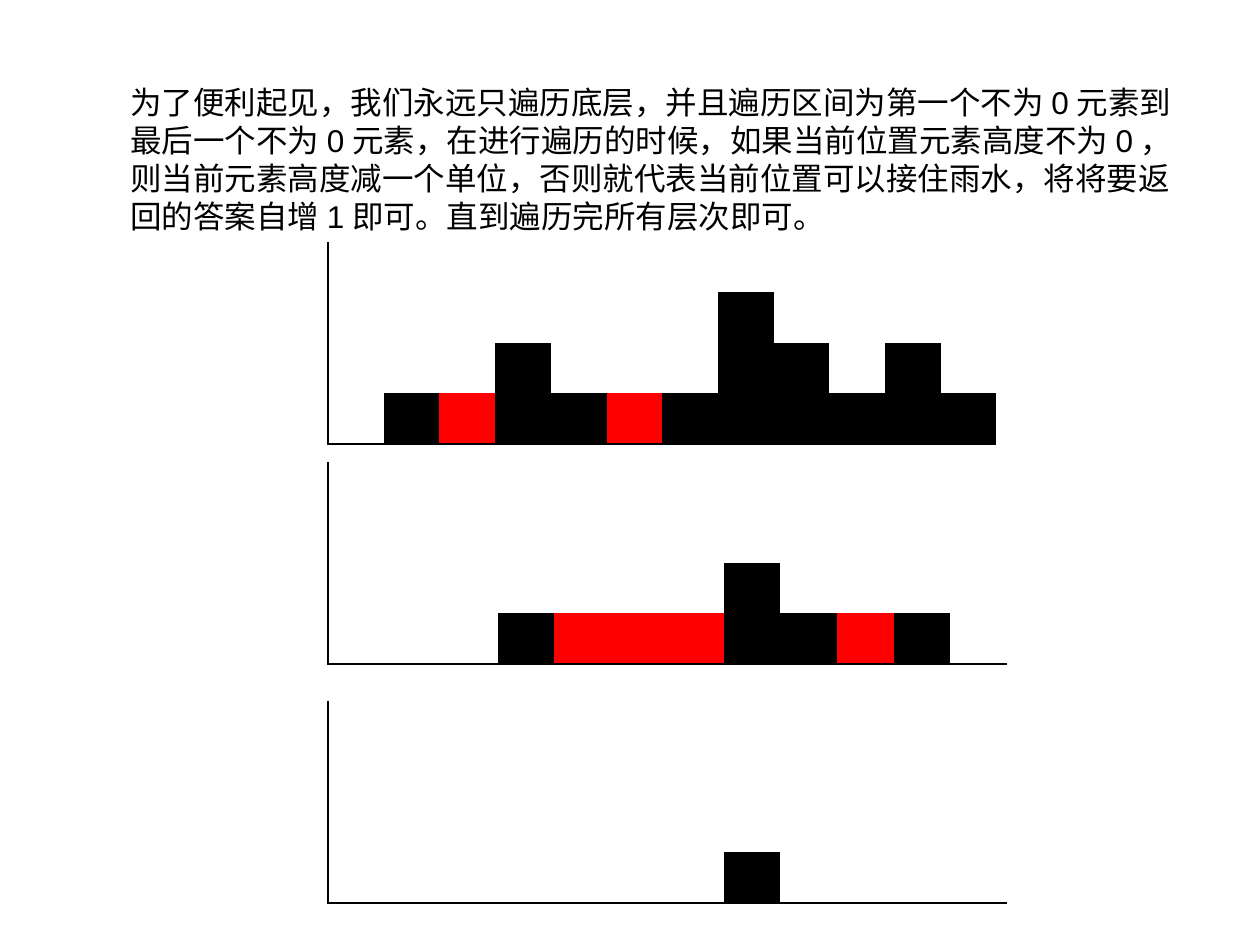
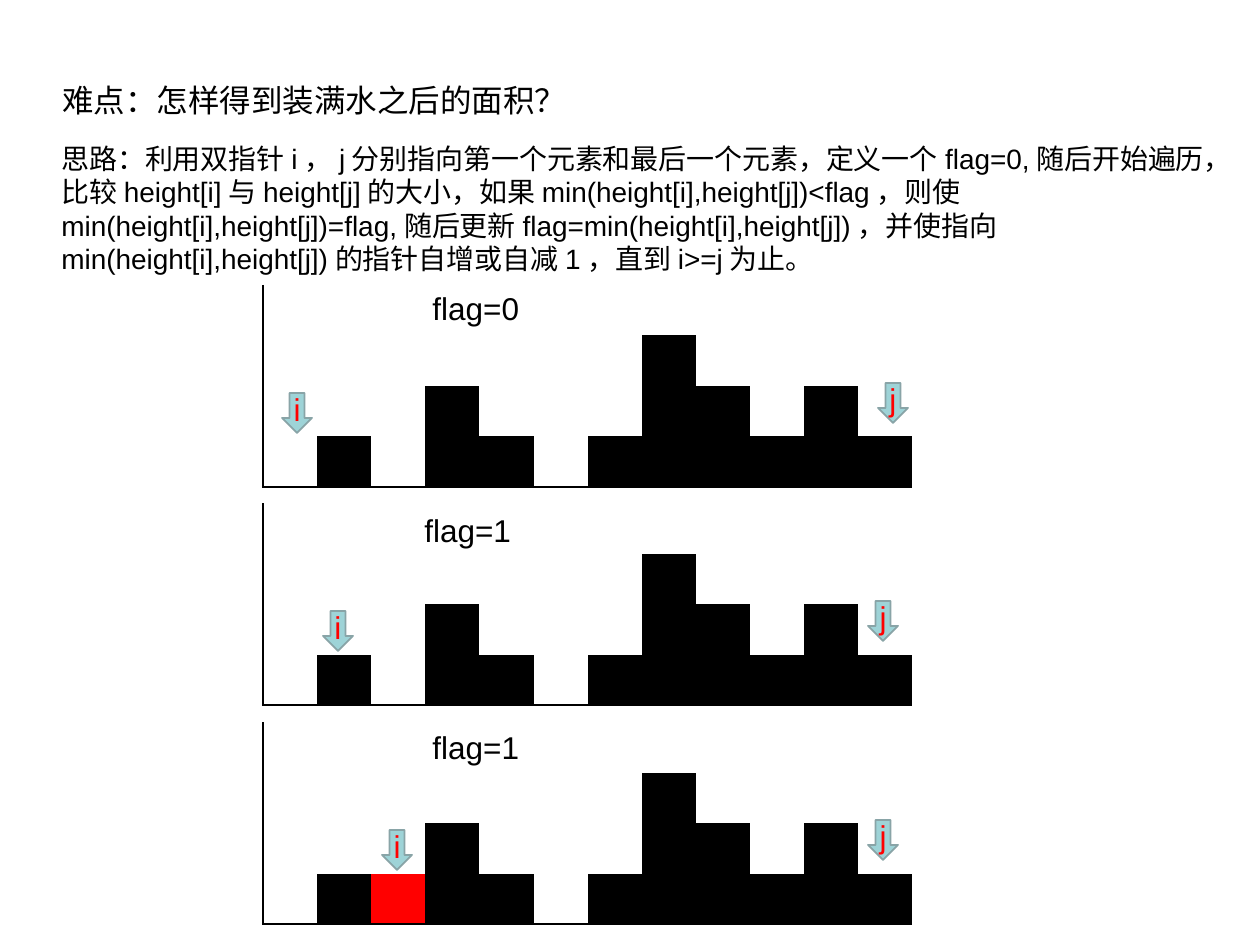
import pptx
import pptx.util
import pptx.dml.color
import pptx.enum.shapes
import pptx.enum.text
import pptx.oxml.ns
import lxml.etree

RGB = pptx.dml.color.RGBColor
BLACK = RGB(0x00, 0x00, 0x00)
WHITE = RGB(0xFF, 0xFF, 0xFF)
RED = RGB(0xFF, 0x00, 0x00)
TEAL = RGB(0x9E, 0xD3, 0xD7)
SLATE = RGB(0x89, 0xA4, 0xA7)

FONT = "Arial"
SCALE = 914400 / 126  # EMU in one px
AXIS = pptx.util.Pt(1.47)
PLAIN = "{2D5ABB26-0587-4C30-8999-92F81FD0307C}"  # table style without grid
ROWS, TALL = 4, 202
HEIGHTS = [0, 1, 0, 2, 1, 0, 1, 3, 2, 1, 2, 1]


def px(n):
    return pptx.util.Emu(round(n * SCALE))


def style(para, size, color):
    para.font.name = FONT
    para.font.size = pptx.util.Pt(size)
    para.font.color.rgb = color


def add_text(slide, box, text, size=18):
    frame = slide.shapes.add_textbox(*map(px, box)).text_frame
    frame.word_wrap = True
    frame.text = text
    style(frame.paragraphs[0], size, BLACK)


def add_edge(cell, side):
    """Draw the axis line on one side of a cell."""
    props = cell._tc.get_or_add_tcPr()
    qn = pptx.oxml.ns.qn
    line = lxml.etree.SubElement(props, qn("a:" + side), w=str(int(AXIS)))
    fill = lxml.etree.SubElement(line, qn("a:solidFill"))
    lxml.etree.SubElement(fill, qn("a:srgbClr"), val=str(BLACK))


def add_bars(slide, box, heights, water=()):
    """Grid of bars, with water in the bottom row of the given columns."""
    left, top, wide, tall = box
    count = len(heights)
    frame = slide.shapes.add_table(ROWS, count, *map(px, box))
    table = frame.table
    table.first_row = table.horz_banding = False
    next(frame.element.iter(pptx.oxml.ns.qn("a:tableStyleId"))).text = PLAIN
    for col in table.columns:
        col.width = px(wide / count)
    for r, row in enumerate(table.rows):
        row.height = px(tall / ROWS)
        level = ROWS - r
        for c, cell in enumerate(row.cells):
            cell.margin_top = cell.margin_bottom = 0
            # Axes go before the fill
            if c == 0:
                add_edge(cell, "lnL")
            if level == 1:
                add_edge(cell, "lnB")
            wet = level == 1 and c in water
            cell.fill.solid()
            cell.fill.fore_color.rgb = (
                BLACK if heights[c] >= level else RED if wet else WHITE)


def add_arrow(slide, left, top, name):
    kind = pptx.enum.shapes.MSO_SHAPE.DOWN_ARROW
    arrow = slide.shapes.add_shape(kind, *map(px, (left, top, 30, 40)))
    arrow.shadow.inherit = False
    arrow.fill.solid()
    arrow.fill.fore_color.rgb = TEAL
    arrow.line.color.rgb = SLATE
    arrow.line.width = pptx.util.Pt(1)
    arrow.text_frame.text = name
    para = arrow.text_frame.paragraphs[0]
    para.alignment = pptx.enum.text.PP_ALIGN.CENTER
    style(para, 18, RED)


def find_gaps(heights):
    """Empty columns between the first and the last bar."""
    bars = [c for c, h in enumerate(heights) if h]
    return [c for c in range(bars[0], bars[-1]) if not heights[c]]


def add_step(slide, box, flag, i_left, j_left, label, water=()):
    """One step of the two pointers; offsets count from the box corner."""
    left, top = box[:2]
    add_bars(slide, box, HEIGHTS, water)
    add_arrow(slide, left + i_left, top + 108, "i")
    add_arrow(slide, left + j_left, top + 98, "j")
    add_text(slide, (left + label[0], top + label[1], 420, 50), f"flag={flag}")


def build_layers(slide):
    add_text(slide, (118, 77, 1089, 164),
             "为了便利起见，我们永远只遍历底层，并且遍历区间为第一个不为0元素到"
             "最后一个不为0元素，在进行遍历的时候，如果当前位置元素高度不为0，"
             "则当前元素高度减一个单位，否则就代表当前位置可以接住雨水，将将要返"
             "回的答案自增1即可。直到遍历完所有层次即可。")
    # Each pass takes one unit off every bar
    for done, (top, wide) in enumerate([(242, 669), (462, 679), (701, 679)]):
        rest = [max(h - done, 0) for h in HEIGHTS]
        add_bars(slide, (328, top, wide, TALL), rest, find_gaps(rest))


def build_steps(slide):
    add_text(slide, (50, 75, 937, 50), "难点：怎样得到装满水之后的面积？")
    add_text(slide, (49, 135, 1183, 147),
             "思路：利用双指针i，j分别指向第一个元素和最后一个元素，定义一个"
             "flag=0,随后开始遍历，比较height[i]与height[j]的大小，如果"
             "min(height[i],height[j])<flag，则使min(height[i],height[j])=flag,"
             "随后更新flag=min(height[i],height[j])，并使指向"
             "min(height[i],height[j])的指针自增或自减1，直到i>=j为止。", 16)
    # Top, flag, left of i, left of j, label offset, water
    steps = [
        (285, 0, 19, 615, (157, -2), ()),
        (503, 1, 60, 605, (149, 2), ()),
        (722, 1, 119, 605, (157, 0), (2,)),
    ]
    for top, *parts in steps:
        add_step(slide, (263, top, 650, TALL), *parts)


def main():
    deck = pptx.Presentation()
    deck.slide_width, deck.slide_height = px(1260), px(945)
    for build in (build_layers, build_steps):
        build(deck.slides.add_slide(deck.slide_layouts[6]))
    deck.save("out.pptx")


if __name__ == "__main__":
    main()
